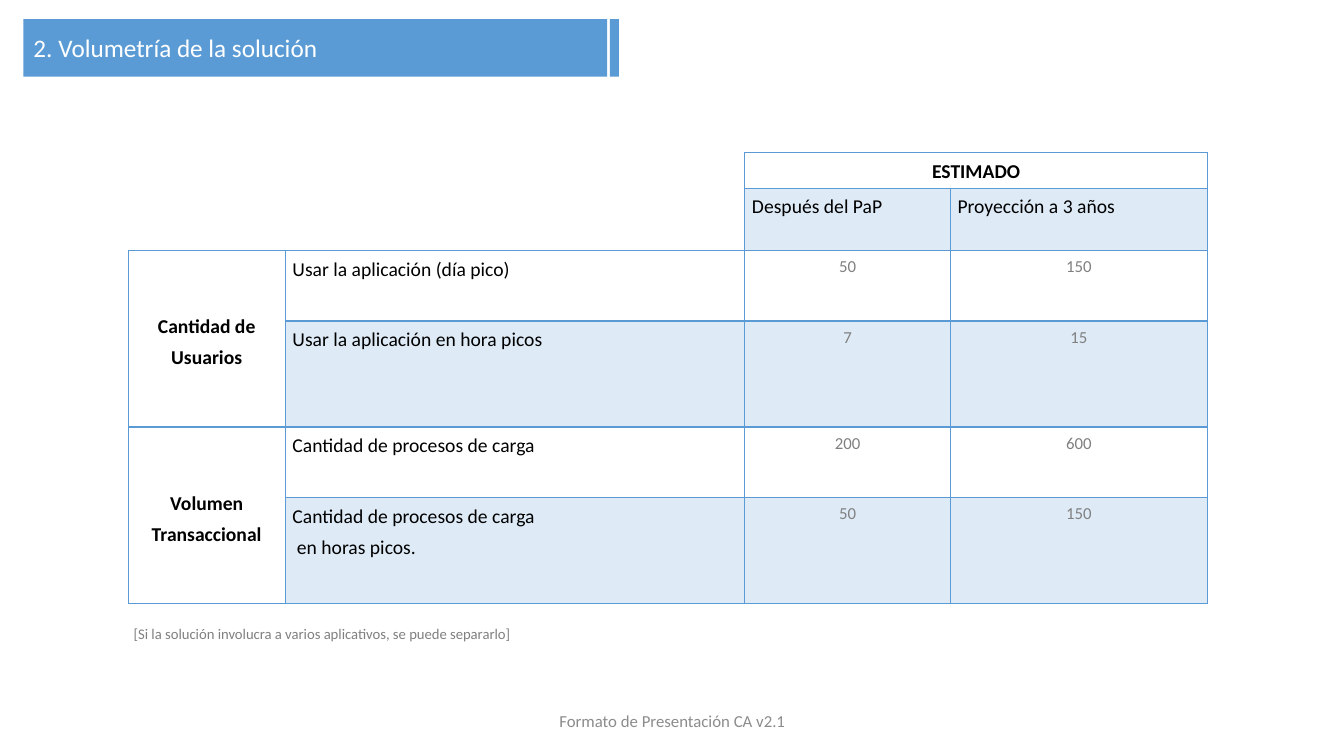
from lxml import etree
from pptx import Presentation
from pptx.dml.color import RGBColor
from pptx.enum.shapes import MSO_SHAPE
from pptx.enum.text import MSO_ANCHOR, MSO_AUTO_SIZE, PP_ALIGN
from pptx.oxml.ns import qn
from pptx.util import Cm, Pt

LEFT, CENTER = PP_ALIGN.LEFT, PP_ALIGN.CENTER
TOP, MIDDLE = MSO_ANCHOR.TOP, MSO_ANCHOR.MIDDLE
RECTANGLE = MSO_SHAPE.RECTANGLE
NO_AUTOFIT = MSO_AUTO_SIZE.NONE

BLUE, PALE, WHITE, BLACK = "5B9BD5", "DEEBF7", "FFFFFF", "000000"
GRAY, FOOTER_GRAY = "808080", "8C8C8C"


def rgb(value):
    return RGBColor.from_string(value)


def write(frame, lines, size, color, bold=False, align=LEFT, spacing=1.0):
    for index, line in enumerate(lines):
        paragraph = frame.paragraphs[0] if index == 0 else frame.add_paragraph()
        paragraph.alignment = align
        paragraph.line_spacing = spacing
        run = paragraph.add_run()
        run.text = line
        run.font.name = "Calibri"
        run.font.size = Pt(size)
        run.font.bold = bold
        run.font.color.rgb = rgb(color)


prs = Presentation()
prs.slide_width, prs.slide_height = Cm(33.87), Cm(19.05)
slide = prs.slides.add_slide(prs.slide_layouts[5])

# Title band and its narrow accent
title = slide.shapes.title
title.left, title.top, title.width, title.height = Cm(0.59), Cm(0.48), Cm(14.71), Cm(1.45)
title.fill.solid()
title.fill.fore_color.rgb = rgb(BLUE)
title.text_frame.auto_size = NO_AUTOFIT
title.text_frame.vertical_anchor = MIDDLE
write(title.text_frame, ["2. Volumetría de la solución"], 18, WHITE)

accent = slide.shapes.add_shape(RECTANGLE, Cm(15.37), Cm(0.48), Cm(0.23), Cm(1.45))
accent.shadow.inherit = False
accent.fill.solid()
accent.fill.fore_color.rgb = rgb(BLUE)
accent.line.fill.background()

# Volume table: grid
widths = [3.96, 11.58, 5.18, 6.48]
heights = [0.89, 1.57, 1.78, 2.67, 1.78, 2.67]
volumes = slide.shapes.add_table(
    len(heights), len(widths), Cm(3.23), Cm(3.85), Cm(sum(widths)), Cm(sum(heights))
).table
volumes.first_row = volumes.horz_banding = False
for column, width in zip(volumes.columns, widths):
    column.width = Cm(width)
for row, height in zip(volumes.rows, heights):
    row.height = Cm(height)

# Volume table: fills, margins and borders
for r in range(len(heights)):
    for c in range(len(widths)):
        cell = volumes.cell(r, c)
        blank = r < 2 and c < 2
        cell.margin_left = cell.margin_right = Cm(0.18)
        cell.margin_top = cell.margin_bottom = 0
        if blank:
            cell.fill.background()
        else:
            cell.fill.solid()
            cell.fill.fore_color.rgb = rgb(PALE if r % 2 and c else WHITE)
        properties = cell._tc.get_or_add_tcPr()
        for position, side in enumerate(["lnL", "lnR", "lnT", "lnB"]):
            border = etree.Element(qn(f"a:{side}"), w=str(Pt(1)))
            if blank and side in ("lnL", "lnT"):
                etree.SubElement(border, qn("a:noFill"))
            else:
                paint = etree.SubElement(border, qn("a:solidFill"))
                etree.SubElement(paint, qn("a:srgbClr"), val=BLUE)
            properties.insert(position, border)

# Volume table: headings
for first, last in [((0, 0), (1, 1)), ((0, 2), (0, 3)), ((2, 0), (3, 0)), ((4, 0), (5, 0))]:
    volumes.cell(*first).merge(volumes.cell(*last))
write(volumes.cell(0, 2).text_frame, ["ESTIMADO"], 14, BLACK, True, CENTER, 1.3)
for c, period in enumerate(["Después del PaP", "Proyección a 3 años"], start=2):
    write(volumes.cell(1, c).text_frame, [period], 14, BLACK, spacing=1.3)
for r, group in [(2, "Cantidad de Usuarios"), (4, "Volumen Transaccional")]:
    volumes.cell(r, 0).vertical_anchor = MIDDLE
    write(volumes.cell(r, 0).text_frame, [group], 14, BLACK, True, CENTER, 1.3)

# Volume table: measures and estimates
measures = [
    (["Usar la aplicación (día pico)"], "50", "150"),
    (["Usar la aplicación en hora picos"], "7", "15"),
    (["Cantidad de procesos de carga"], "200", "600"),
    (["Cantidad de procesos de carga", " en horas picos."], "50", "150"),
]
for r, (measure, *estimates) in enumerate(measures, start=2):
    write(volumes.cell(r, 1).text_frame, measure, 14, BLACK, spacing=1.3)
    for c, estimate in enumerate(estimates, start=2):
        write(volumes.cell(r, c).text_frame, [estimate], 12, GRAY, align=CENTER, spacing=1.3)

# Note under the table
note = slide.shapes.add_textbox(Cm(3.12), Cm(15.39), Cm(10.49), Cm(0.89)).text_frame
note.word_wrap = False
write(note, ["[Si la solución involucra a varios aplicativos, se puede separarlo]"],
      10.5, GRAY, spacing=1.5)

# Footer
footer = slide.shapes.add_textbox(Cm(11.23), Cm(17.65), Cm(11.43), Cm(1.02)).text_frame
footer.word_wrap = True
footer.vertical_anchor = MIDDLE
write(footer, ["Formato de Presentación CA v2.1"], 12, FOOTER_GRAY, align=CENTER)

prs.save("out.pptx")
